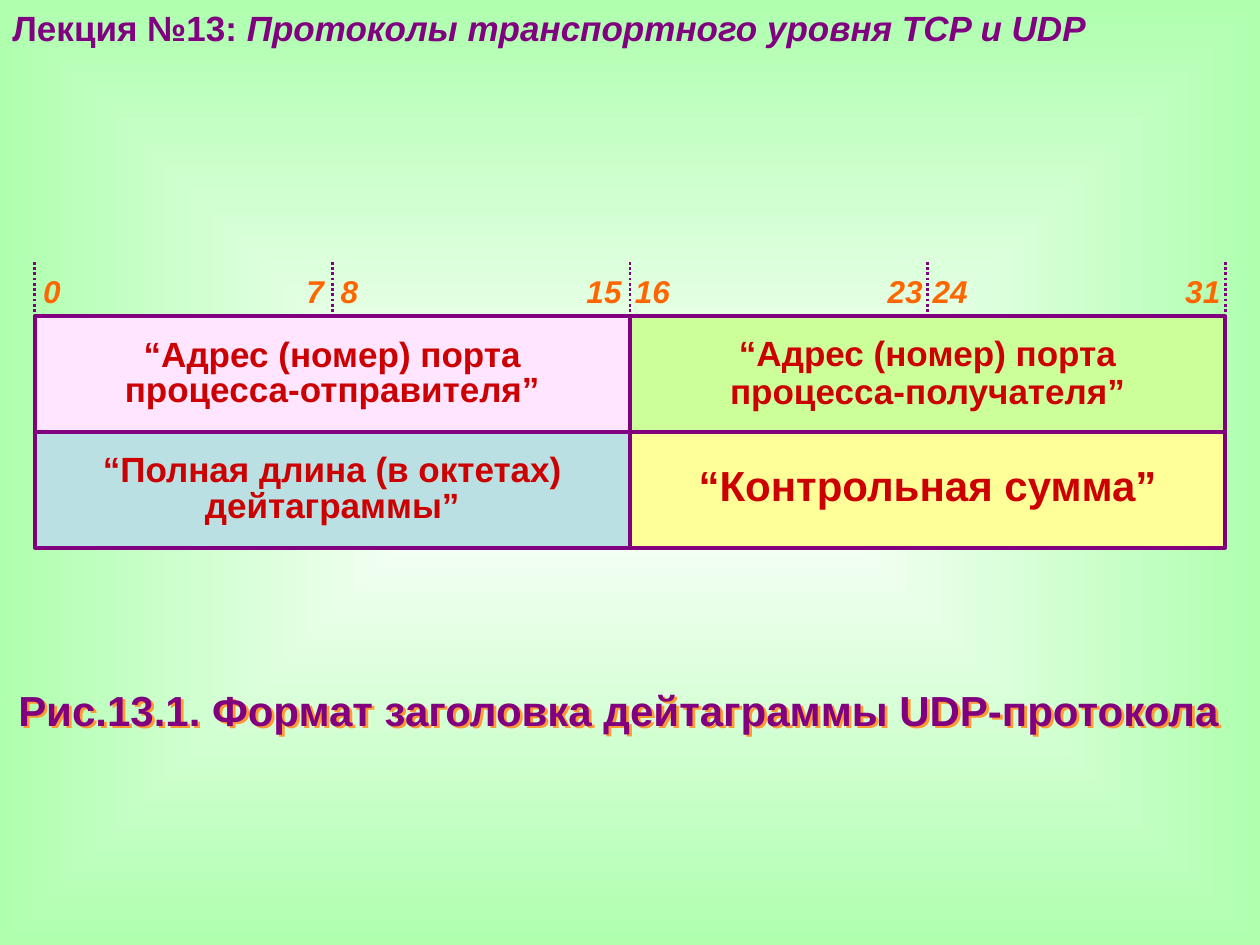
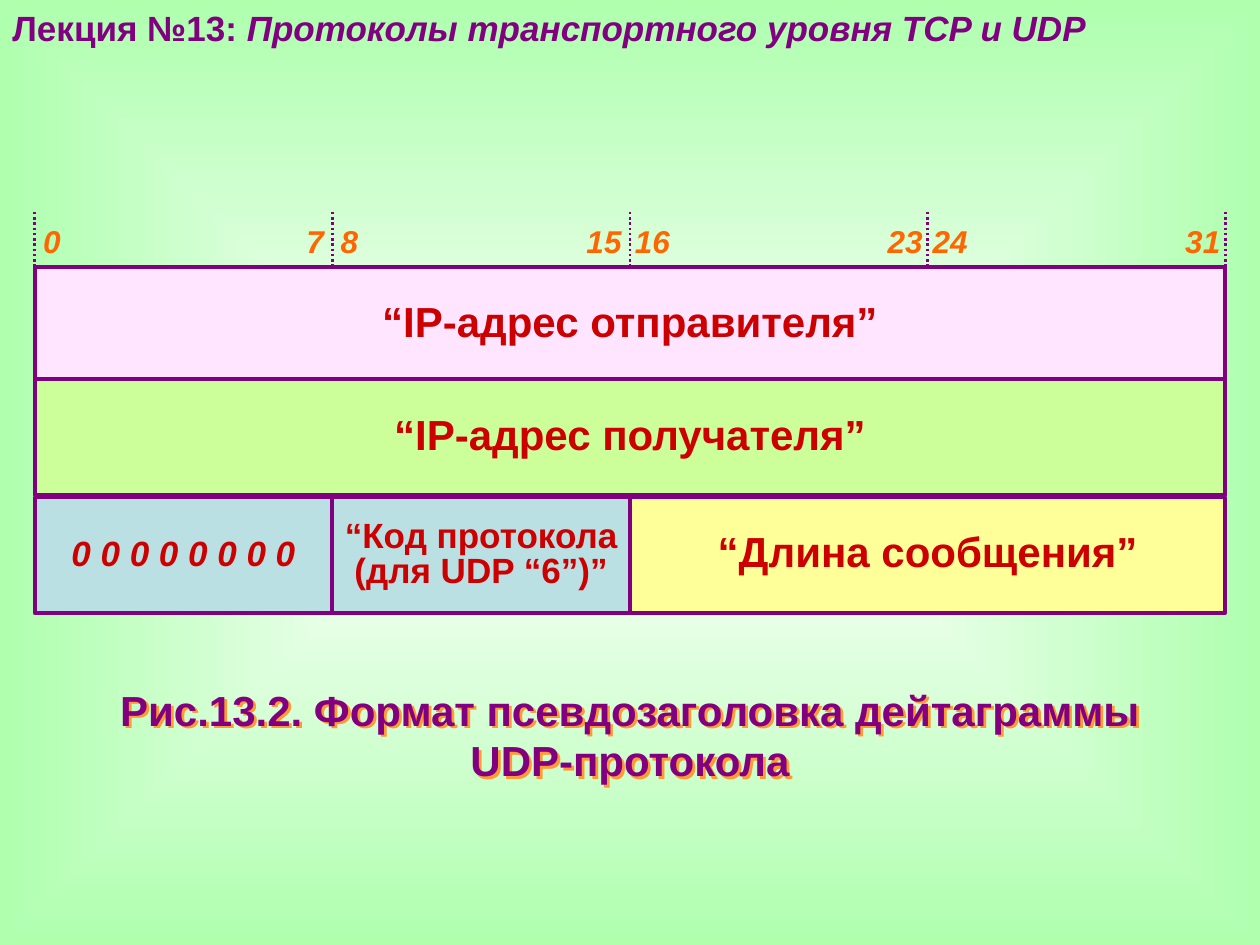
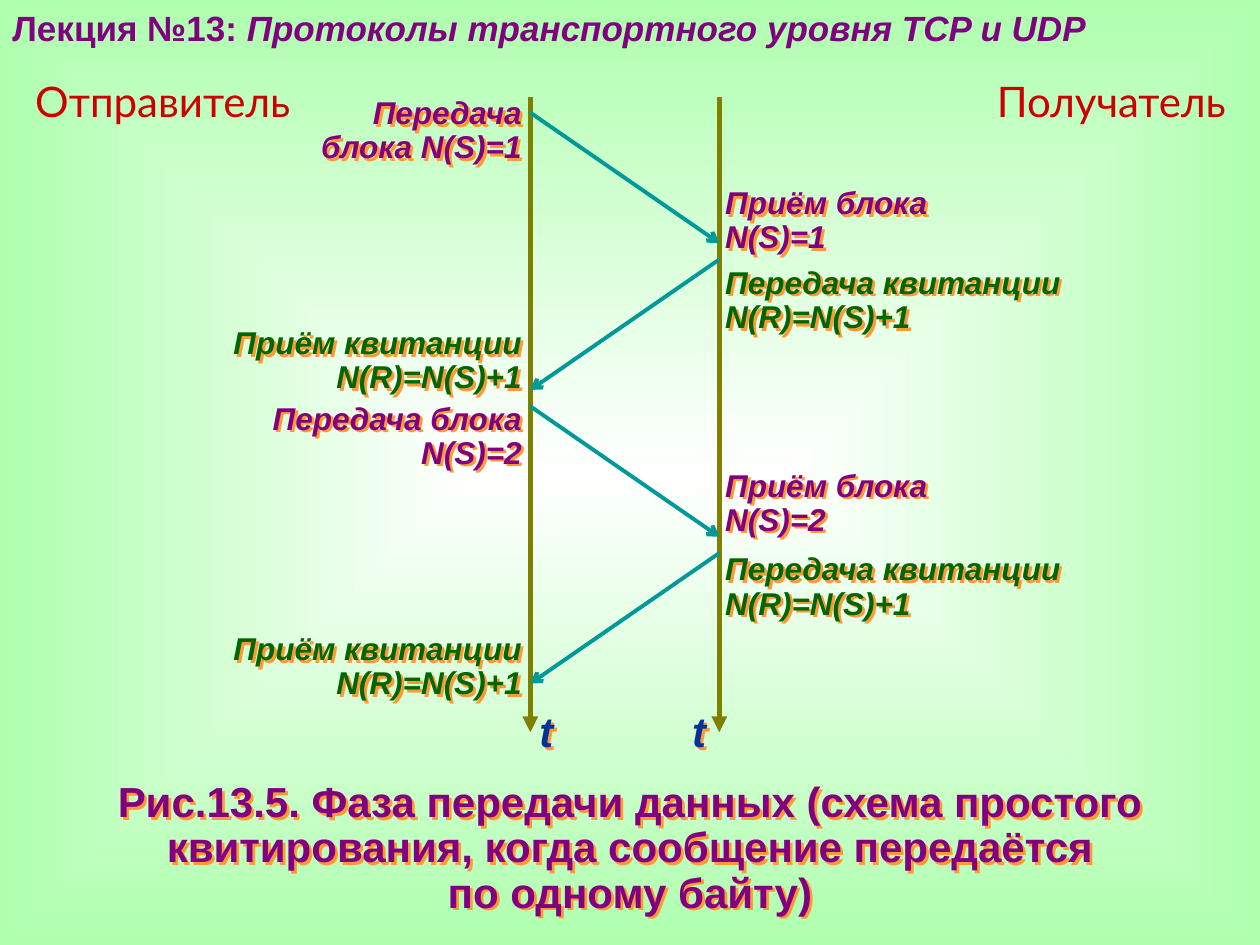
from lxml import etree
from pptx import Presentation
from pptx.dml.color import RGBColor
from pptx.enum import dml, shapes, text
from pptx.oxml.ns import qn
from pptx.util import Cm, Pt

PURPLE, RED, ORANGE, GREEN = "800080", "CC0000", "FF6600", "006600"
OLIVE, TEAL, BLUE, GLOW = "808000", "009999", "003399", "FF9933"
PINK, LIME, SKY, YELLOW = "FFE5FF", "CCFF99", "BBE0E3", "FFFF99"
LEFT, CENTER, RIGHT = text.PP_ALIGN.LEFT, text.PP_ALIGN.CENTER, text.PP_ALIGN.RIGHT
TOP, MIDDLE = text.MSO_ANCHOR.TOP, text.MSO_ANCHOR.MIDDLE

EDGE, BYTE, ROW = 0.7, 6, 2.33      # left of the bit grid, width of 8 bits, row height
SENDER, TAKER = 10.69, 14.5         # the two time axes


def rgb(code):
    return RGBColor.from_string(code)


def add(parent, tag, **attrs):
    return etree.SubElement(parent, qn(tag), attrs)


def paint(master):
    """Give all slides a gradient that spreads from the centre."""
    fill = master.background.fill
    fill.gradient()
    for stop, place, code in zip(fill.gradient_stops, (0, 1), ("FFFFFF", "AFFFAF")):
        stop.position = place
        stop.color.rgb = rgb(code)
    grad = master._element.find(".//" + qn("a:gradFill"))
    grad.remove(grad.find(qn("a:lin")))
    path = add(grad, "a:path", path="shape")
    add(path, "a:fillToRect", l="50000", t="50000", r="50000", b="50000")


def glow(shape):
    """Cast an orange shadow from the text of an unfilled box."""
    effects = add(shape._element.spPr, "a:effectLst")
    shadow = add(effects, "a:outerShdw", dist="28400", dir="2700000", algn="ctr", rotWithShape="0")
    add(shadow, "a:srgbClr", val=GLOW)


def setup(frame, anchor, side=0):
    frame.word_wrap = True
    frame.auto_size = text.MSO_AUTO_SIZE.NONE
    frame.vertical_anchor = anchor
    frame.margin_left = frame.margin_right = Cm(side)
    frame.margin_top = frame.margin_bottom = 0


def write(par, words, size, code, bold=True, italic=False, name="Arial"):
    for i, line in enumerate(words.split("\n")):
        if i:
            par.add_line_break()
        run = par.add_run()
        run.text = line
        font = run.font
        font.size, font.name = Pt(size), name
        font.bold, font.italic = bold, italic
        font.color.rgb = rgb(code)


def label(slide, box, words, size, code, align=CENTER, anchor=MIDDLE,
          spacing=1, side=0, shade=False, **style):
    shape = slide.shapes.add_textbox(*map(Cm, box))
    setup(shape.text_frame, anchor, side)
    par = shape.text_frame.paragraphs[0]
    par.alignment, par.line_spacing = align, spacing
    write(par, words, size, code, **style)
    if shade:
        glow(shape)
    return par


def line(slide, start, end, code, width, dash=None, head=None):
    ends = map(Cm, (*start, *end))
    con = slide.shapes.add_connector(shapes.MSO_CONNECTOR.STRAIGHT, *ends)
    con.line.color.rgb = rgb(code)
    con.line.width = Pt(width)
    if dash:
        con.line.dash_style = dash
    props = con._element.spPr
    if head:
        add(props.find(qn("a:ln")), "a:tailEnd", type=head)
    add(props, "a:effectLst")


def start(deck):
    """Add a slide with the lecture title."""
    slide = deck.slides.add_slide(deck.slide_layouts[5])
    title = slide.shapes.title
    title.left, title.top, title.width, title.height = map(Cm, (0, 0, 22.94, 1.1))
    setup(title.text_frame, TOP, 0.25)
    title.text_frame.margin_top = Cm(0.13)
    par = title.text_frame.paragraphs[0]
    par.alignment = LEFT
    write(par, "Лекция №13: ", 20, PURPLE)
    write(par, "Протоколы транспортного уровня TCP и UDP", 20, PURPLE, italic=True)
    return slide


def caption(slide, top, words, width=25.4, spacing=1):
    label(slide, (0, top, width, 2.8), words, 24, PURPLE, anchor=TOP,
          spacing=spacing, shade=True)


def ruler(slide, top):
    """Mark the first and last bit of each byte."""
    for i in range(5):
        x = EDGE + i * BYTE
        line(slide, (x, top), (x, top + 1.65), PURPLE, 1.5, dash=dml.MSO_LINE.ROUND_DOT)
    for i in range(4):
        side = 0.17 if i < 2 else 0.1
        par = label(slide, (EDGE + i * BYTE, top, BYTE, 1.17), f"{8 * i}\t{8 * i + 7}",
                    18, ORANGE, align=LEFT, side=side, italic=True)
        tabs = add(par._p.get_or_add_pPr(), "a:tabLst")
        add(tabs, "a:tab", pos=str(Cm(BYTE - 2 * side)), algn="r")


def field(slide, first, count, top, fill, words, size=24, spacing=0.85, italic=False):
    """Draw a header field that covers count bytes from byte first."""
    box = map(Cm, (EDGE + first * BYTE, top, count * BYTE, ROW))
    shape = slide.shapes.add_shape(shapes.MSO_SHAPE.RECTANGLE, *box)
    shape.shadow.inherit = False
    shape.fill.solid()
    shape.fill.fore_color.rgb = rgb(fill)
    shape.line.color.rgb = rgb(PURPLE)
    shape.line.width = Pt(2.25)
    setup(shape.text_frame, MIDDLE)
    par = shape.text_frame.paragraphs[0]
    par.alignment, par.line_spacing = CENTER, spacing
    write(par, words, size, RED, italic=italic)


def event(slide, middle, words, code, sent):
    """Describe a step beside the axis of its side."""
    width, height = 7.3, 1.6
    x = SENDER - 0.05 - width if sent else TAKER
    label(slide, (x, middle - height / 2, width, height), words, 18, code,
          align=RIGHT if sent else LEFT, spacing=0.9, side=0.12, shade=True, italic=True)


def header(deck):
    slide = start(deck)
    caption(slide, 13.79, "Рис.13.1. Формат заголовка дейтаграммы UDP-протокола", width=24.94)
    ruler(slide, 5.28)
    upper, lower = 6.38, 6.38 + ROW
    field(slide, 0, 2, upper, PINK, "“Адрес (номер) порта\nпроцесса-отправителя”", 20)
    field(slide, 2, 2, upper, LIME, "“Адрес (номер) порта\nпроцесса-получателя”", 20, 0.9)
    field(slide, 0, 2, lower, SKY, "“Полная длина (в октетах) дейтаграммы”", 20)
    field(slide, 2, 2, lower, YELLOW, "“Контрольная сумма”", spacing=0.8)


def pseudo(deck):
    slide = start(deck)
    caption(slide, 13.79, "Рис.13.2. Формат псевдозаголовка дейтаграммы\nUDP-протокола")
    ruler(slide, 4.27)
    last = 10.03
    field(slide, 0, 4, 5.38, PINK, "“IP-адрес отправителя”")
    field(slide, 0, 4, 7.65, LIME, "“IP-адрес получателя”", spacing=0.9)
    field(slide, 1, 1, last, SKY, "“Код протокола (для UDP “6”)”", 20)
    field(slide, 2, 2, last, YELLOW, "“Длина сообщения”", spacing=0.8)
    field(slide, 0, 1, last, SKY, "0 0 0 0 0 0 0 0", 20, italic=True)


def phase(deck):
    slide = start(deck)
    caption(slide, 15.75, "Рис.13.5. Фаза передачи данных (схема простого квитирования, "
            "когда сообщение передаётся\nпо одному байту)", spacing=0.9)
    label(slide, (0.71, 1.52, 5.36, 1.04), "Отправитель", 24, RED, LEFT, bold=False, name="Lato")
    label(slide, (19.71, 1.52, 5, 1.04), "Получатель", 24, RED, RIGHT, bold=False, name="Lato")
    for x in (SENDER, TAKER):
        line(slide, (x, 1.96), (x, 14.76), OLIVE, 3, head="triangle")
    for i in range(4):
        y = 2.27 + 2.96 * i
        ends = (SENDER, TAKER) if i % 2 == 0 else (TAKER, SENDER)
        line(slide, (ends[0], y), (ends[1], y + 2.63), TEAL, 2.25, head="arrow")
    for x in (SENDER, 13.77):
        label(slide, (x, 14.23, 0.65, 0.9), "t", 24, BLUE, anchor=TOP, shade=True, italic=True)
    reply = "квитанции\nN(R)=N(S)+1"
    for middle, words, code, sent in (
        (2.65, "Передача\nблока N(S)=1", PURPLE, True),
        (4.47, "Приём блока\nN(S)=1", PURPLE, False),
        (6.07, "Передача " + reply, GREEN, False),
        (7.28, "Приём " + reply, GREEN, True),
        (8.81, "Передача блока\nN(S)=2", PURPLE, True),
        (10.16, "Приём блока\nN(S)=2", PURPLE, False),
        (11.85, "Передача " + reply, GREEN, False),
        (13.45, "Приём " + reply, GREEN, True),
    ):
        event(slide, middle, words, code, sent)


def main():
    deck = Presentation()
    deck.slide_width, deck.slide_height = Cm(25.4), Cm(19.05)
    paint(deck.slide_master)
    header(deck)
    pseudo(deck)
    phase(deck)
    deck.save("out.pptx")


if __name__ == "__main__":
    main()
